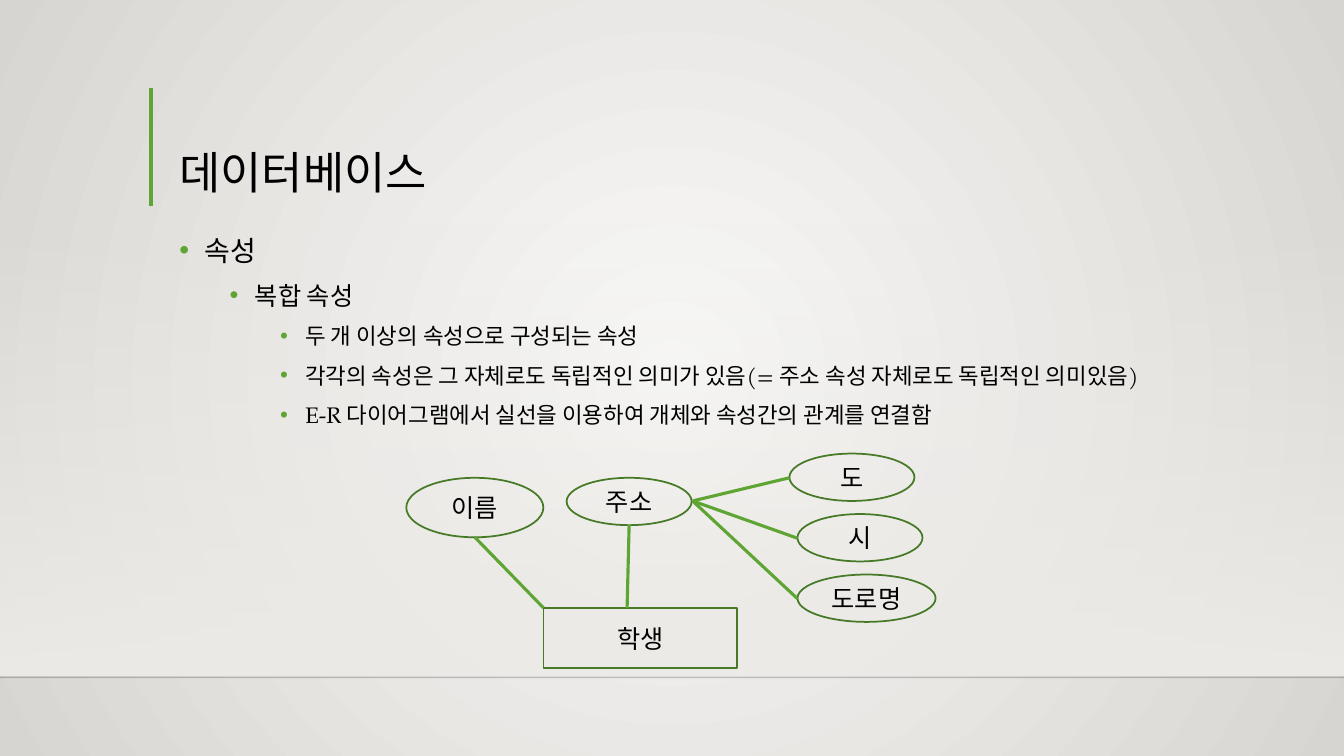
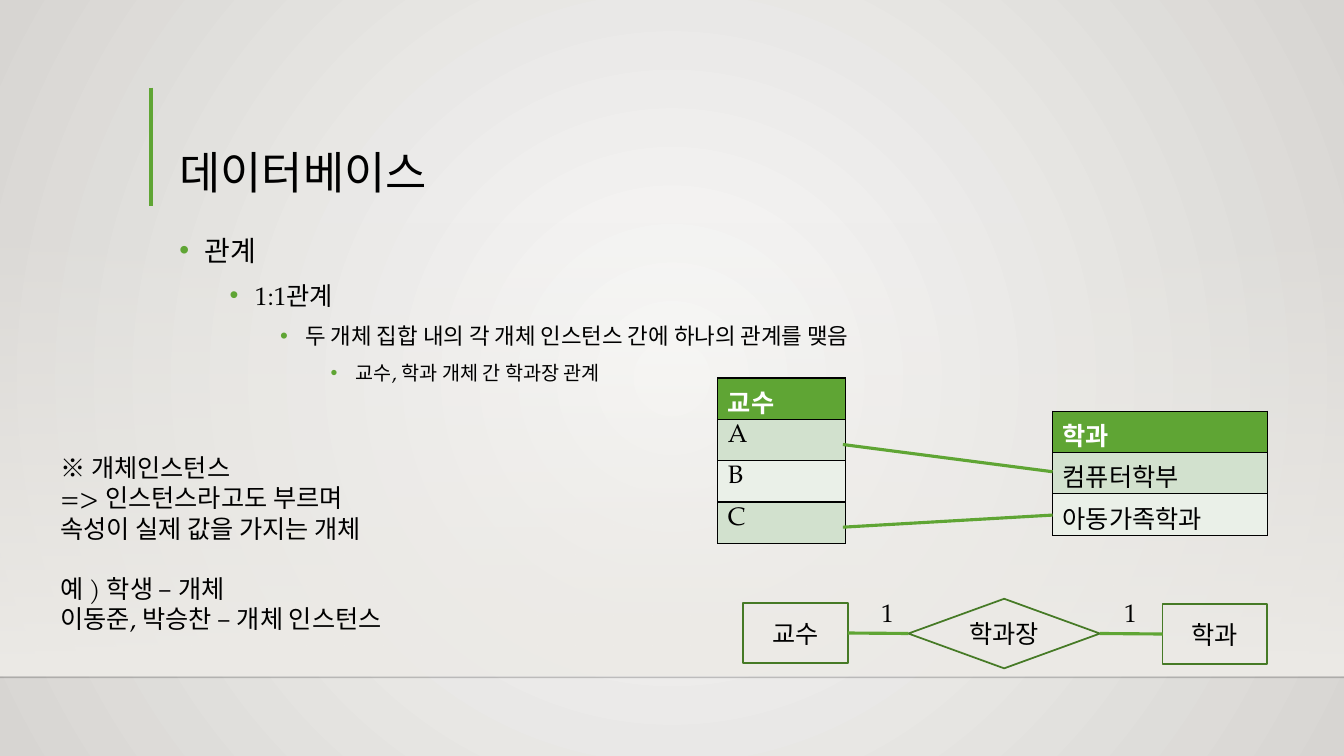
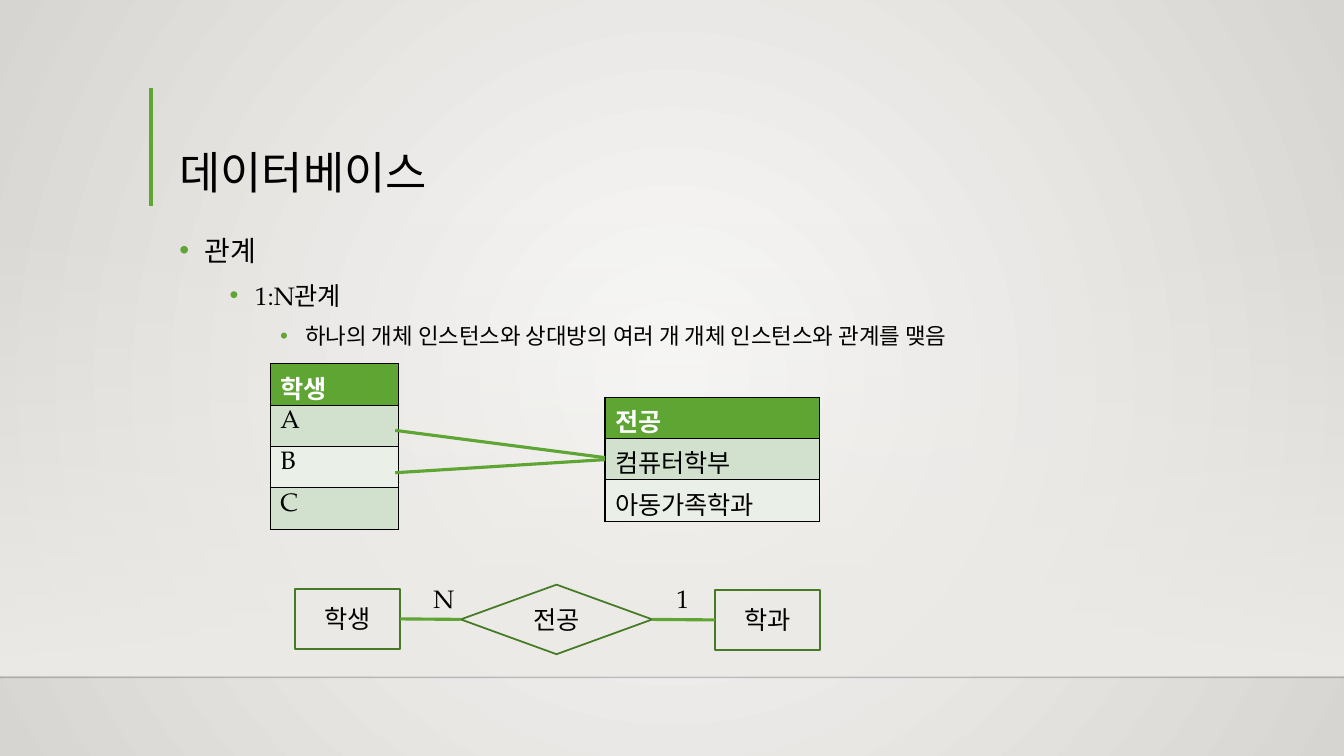
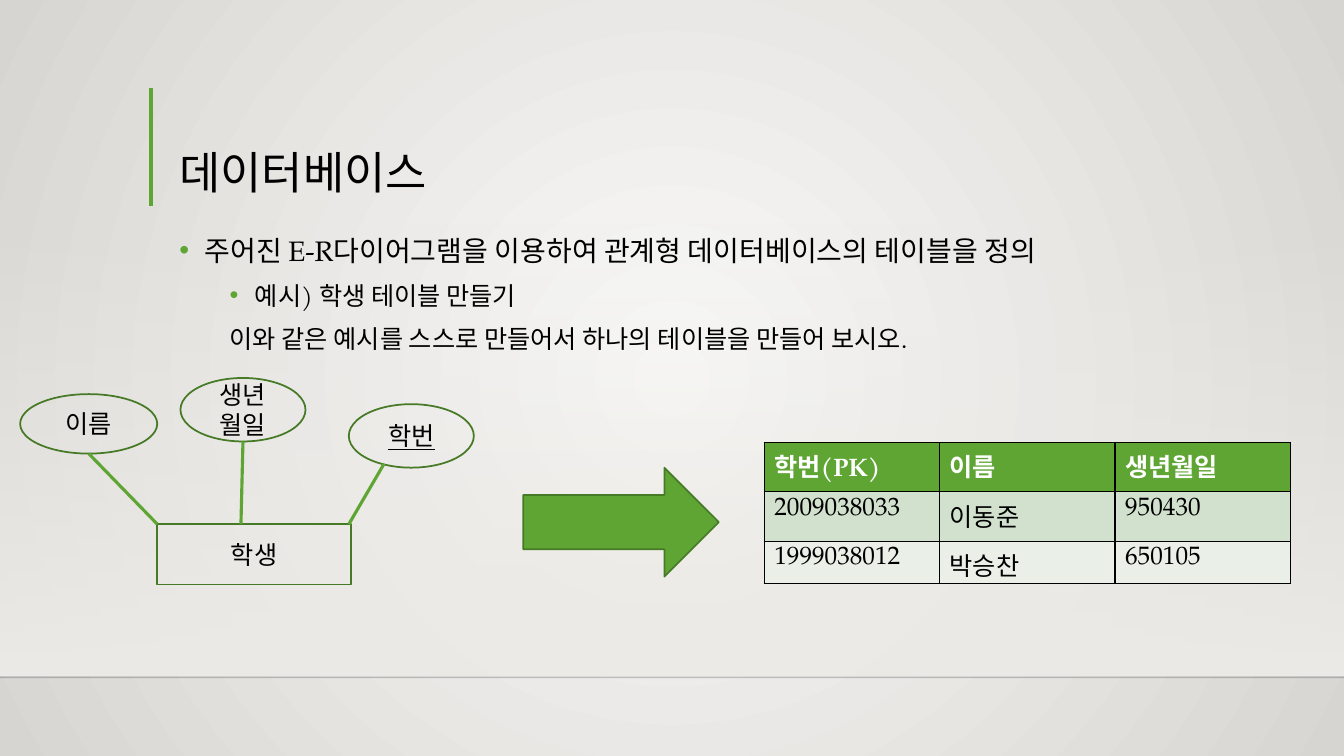
from lxml import etree
from pptx import Presentation
from pptx.dml.color import RGBColor
from pptx.enum import shapes, text
from pptx.oxml import parse_xml
from pptx.oxml.ns import nsdecls, qn
from pptx.util import Inches, Pt

FONT = "TeX Gyre Pagella"
BLACK = RGBColor(0x00, 0x00, 0x00)
WHITE = RGBColor(0xFF, 0xFF, 0xFF)
GREEN = RGBColor(0x5F, 0xA5, 0x34)
DARK_GREEN = RGBColor(0x46, 0x7A, 0x26)
BANDS = (RGBColor(0xD2, 0xE1, 0xCE), RGBColor(0xEA, 0xF0, 0xE8))
GLOW = RGBColor(0xFA, 0xFA, 0xF9)
EDGE = RGBColor(0xD7, 0xD5, 0xD2)
WALL = RGBColor(0xED, 0xEB, 0xE7)
FLOOR_LINE = RGBColor(0x00, 0x00, 0x01)

LEVEL_SIZES = (20, 18, 16, 14)
RECT = shapes.MSO_SHAPE.RECTANGLE
OVAL = shapes.MSO_SHAPE.OVAL
DIAMOND = shapes.MSO_SHAPE.DIAMOND
TOP, LEFT, BOTTOM, RIGHT = range(4)


def set_gradient(element, stops, direction):
    """Replace the first solid fill in an element with a gradient."""
    marks = "".join(
        f'<a:gs pos="{pos * 1000}"><a:srgbClr val="{color}">'
        f'<a:alpha val="{alpha * 1000}"/></a:srgbClr></a:gs>'
        for pos, color, alpha in stops)
    gradient = parse_xml(
        f'<a:gradFill {nsdecls("a")} rotWithShape="1"><a:gsLst>{marks}</a:gsLst>'
        f'{direction}</a:gradFill>')
    solid = element.xpath(".//a:solidFill")[0]
    solid.getparent().replace(solid, gradient)


def add_run(paragraph, words, size=18, color=BLACK, bold=False, underline=False):
    """Add one formatted run to a paragraph."""
    run = paragraph.add_run()
    run.text = words
    font = run.font
    font.name, font.size, font.bold = FONT, Pt(size), bold
    font.color.rgb = color
    if underline:
        font.underline = True


def link(slide, start, end, width=2.25, color=GREEN):
    """Draw a plain straight line between two points."""
    line = slide.shapes.add_connector(
        shapes.MSO_CONNECTOR.STRAIGHT, *map(Inches, (*start, *end)))
    line.line.width = Pt(width)
    line.line.color.rgb = color
    etree.SubElement(line.element.spPr, qn("a:effectLst"))
    return line


def node(slide, kind, box, label="", fill=None, underline=False):
    """Draw an outlined diagram shape with a centred label."""
    shape = slide.shapes.add_shape(kind, *map(Inches, box))
    shape.shadow.inherit = False
    if fill is None:
        shape.fill.background()
    else:
        shape.fill.solid()
        shape.fill.fore_color.rgb = fill
    shape.line.width = Pt(1.25)
    shape.line.color.rgb = DARK_GREEN
    if label:
        shape.text_frame.vertical_anchor = text.MSO_ANCHOR.MIDDLE
        paragraph = shape.text_frame.paragraphs[0]
        paragraph.alignment = text.PP_ALIGN.CENTER
        add_run(paragraph, label, underline=underline)
    return shape


def free_text(slide, box, lines, gap_before=None):
    """Place unwrapped lines, with an optional gap above one of them."""
    note = slide.shapes.add_textbox(*map(Inches, box))
    frame = note.text_frame
    frame.word_wrap = False
    frame.auto_size = text.MSO_AUTO_SIZE.SHAPE_TO_FIT_TEXT
    for index, words in enumerate(lines):
        paragraph = frame.add_paragraph() if index else frame.paragraphs[0]
        if index == gap_before:
            paragraph.space_before = Pt(21.6)
        add_run(paragraph, words)


def dress_layout(layout, stage):
    """Give the layout its backdrop, floor line and title bar."""
    for holder in list(layout.placeholders):
        if holder.placeholder_format.type != shapes.PP_PLACEHOLDER.TITLE:
            holder.element.getparent().remove(holder.element)
    layout.background.fill.solid()
    set_gradient(
        layout.element, [(0, GLOW, 100), (100, EDGE, 100)],
        '<a:path path="circle">'
        '<a:fillToRect l="50000" t="50000" r="50000" b="50000"/></a:path>')

    wall = stage.shapes.add_shape(RECT, *map(Inches, (0, 2.2, 13.33, 4.5)))
    wall.shadow.inherit = False
    wall.line.fill.background()
    wall.fill.solid()
    set_gradient(wall.element, [(0, WALL, 0), (100, WALL, 100)],
                 '<a:lin ang="5400000" scaled="0"/>')

    floor = link(stage, (0, 6.72), (13.33, 6.72), 1, FLOOR_LINE)
    tint = floor.element.xpath(".//a:srgbClr")[0]
    etree.SubElement(tint, qn("a:alpha")).set("val", "20000")
    title_bar = link(stage, (1.5, 0.87), (1.5, 2.04), 3)

    tree = layout.element.cSld.spTree
    for index, part in enumerate((wall, floor, title_bar)):
        tree.insert(2 + index, part.element)


def write_title(slide, words):
    """Place and format the slide title."""
    title = slide.shapes.title
    title.left, title.top, title.width, title.height = map(
        Inches, (1.68, 0.88, 10.41, 1.15))
    title.text_frame.vertical_anchor = text.MSO_ANCHOR.BOTTOM
    paragraph = title.text_frame.paragraphs[0]
    paragraph.alignment = text.PP_ALIGN.LEFT
    paragraph.line_spacing = 0.9
    add_run(paragraph, words, 32)


def write_outline(slide, items, width=10.41, plain=()):
    """Write levelled points, bulleted except for the plain ones."""
    outline = slide.shapes.add_textbox(*map(Inches, (1.68, 2.2, width, 3.77)))
    frame = outline.text_frame
    frame.word_wrap = True
    for index, (level, words) in enumerate(items):
        paragraph = frame.add_paragraph() if index else frame.paragraphs[0]
        paragraph.level = level
        paragraph.line_spacing = 1.2
        paragraph.space_before = Pt(5 if level else 10)
        add_run(paragraph, words, LEVEL_SIZES[level])
        bulleted = index not in plain
        hang = 0.25 if bulleted else 0
        props = paragraph._p.get_or_add_pPr()
        props.set("marL", str(Inches(0.5 * level + hang)))
        props.set("indent", str(Inches(-hang)))
        if bulleted:
            color = etree.SubElement(props, qn("a:buClr"))
            etree.SubElement(color, qn("a:srgbClr")).set("val", str(GREEN))
            etree.SubElement(props, qn("a:buFont")).set("typeface", "Arial")
            etree.SubElement(props, qn("a:buChar")).set("char", "•")


def style_cell(cell, words, fill, header):
    """Fill, border and label one table cell."""
    add_run(cell.text_frame.paragraphs[0], words,
            color=WHITE if header else BLACK, bold=header)
    props = cell._tc.get_or_add_tcPr()
    for side in ("lnL", "lnR", "lnT", "lnB"):
        props.append(parse_xml(
            f'<a:{side} {nsdecls("a")} w="12700"><a:solidFill>'
            f'<a:srgbClr val="{BLACK}"/></a:solidFill></a:{side}>'))
    cell.fill.solid()
    cell.fill.fore_color.rgb = fill


def entity_table(slide, left, top, column_width, rows, heights):
    """Build a banded table with a green header row."""
    columns = len(rows[0])
    table = slide.shapes.add_table(
        len(rows), columns, *map(Inches, (left, top, column_width * columns,
                                          sum(heights)))).table
    for column in table.columns:
        column.width = Inches(column_width)
    for r, (row, height) in enumerate(zip(rows, heights)):
        table.rows[r].height = Inches(height)
        fill = BANDS[(r - 1) % 2] if r else GREEN
        for c, words in enumerate(row):
            style_cell(table.cell(r, c), words, fill, r == 0)


def student_diagram(slide, left, top, second_label, second_height):
    """Draw the student entity at left, top with two attributes above it."""
    node(slide, RECT, (left, top, 1.92, 0.6), "학생")
    node(slide, OVAL, (left - 1.36, top - 1.29, 1.36, 0.59), "이름")
    node(slide, OVAL, (left + 0.23, top - 0.82 - second_height, 1.24,
                       second_height), second_label)
    link(slide, (left - 0.68, top - 0.7), (left, top))
    link(slide, (left + 0.85, top - 0.82), (left + 0.83, top))


def address_parts(slide, left, top):
    """Draw the parts of the address, fanning out from left, top."""
    parts = (("도", 0.96, -0.47, 1.24), ("시", 1.04, 0.13, 1.24),
             ("도로명", 1.04, 0.73, 1.37))
    for label, dx, dy, width in parts:
        node(slide, OVAL, (left + dx, top + dy, width, 0.47), label)
        link(slide, (left, top), (left + dx, top + dy + 0.24))


def relation_example(slide, left, top, members, groups, pairs, relation, counts):
    """Show two linked instance tables above their E-R diagram."""
    entity_table(slide, left, top, 1.27,
                 [[words] for words in members], [0.41] * len(members))
    entity_table(slide, left + 3.32, top + 0.33, 2.13,
                 [[words] for words in groups], [0.41] * len(groups))
    for start, end in pairs:
        link(slide, (left + 1.24, top + start), (left + 3.32, top + end))

    first = node(slide, RECT, (left + 0.25, top + 2.23, 1.04, 0.6), members[0])
    second = node(slide, RECT, (left + 4.41, top + 2.24, 1.04, 0.6), "학과")
    bond = node(slide, DIAMOND, (left + 1.89, top + 2.19, 1.9, 0.69), relation)
    for begin, end in ((first, bond), (bond, second)):
        joint = link(slide, (left, top), (left, top))
        joint.begin_connect(begin, RIGHT)
        joint.end_connect(end, LEFT)
    for count, dx in zip(counts, (1.52, 3.93)):
        width = 0.41 if count == "N" else 0.33
        free_text(slide, (left + dx, top + 2.13, width, 0.4), [count])


def composite_slide(slide):
    """Explain composite attributes."""
    write_outline(slide, [
        (0, "속성"),
        (1, "복합 속성"),
        (2, "두 개 이상의 속성으로 구성되는 속성"),
        (2, "각각의 속성은 그 자체로도 독립적인 의미가 있음(= 주소 속성 자체로도 독립적인 의미있음)"),
        (2, "E-R 다이어그램에서 실선을 이용하여 개체와 속성간의 관계를 연결함"),
    ], width=11.01)
    student_diagram(slide, 5.39, 6.03, "주소", 0.47)
    address_parts(slide, 6.87, 4.97)


def one_to_one_slide(slide):
    """Explain the 1:1 relation."""
    write_outline(slide, [
        (0, "관계"),
        (1, "1:1관계"),
        (2, "두 개체 집합 내의 각 개체 인스턴스 간에 하나의 관계를 맺음"),
        (3, "교수, 학과 개체 간 학과장 관계"),
    ])
    relation_example(
        slide, 7.12, 3.75, ("교수", "A", "B", "C"),
        ("학과", "컴퓨터학부", "아동가족학과"),
        ((0.66, 0.93), (1.48, 1.36)), "학과장", "11")
    free_text(slide, (0.5, 4.44, 3.67, 1.92), [
        "※ 개체인스턴스",
        "=> 인스턴스라고도 부르며",
        "속성이 실제 값을 가지는 개체",
        "예 ) 학생 – 개체",
        "이동준, 박승찬 – 개체 인스턴스",
    ], gap_before=3)


def one_to_many_slide(slide):
    """Explain the 1:N relation."""
    write_outline(slide, [
        (0, "관계"),
        (1, "1:N관계"),
        (2, "하나의 개체 인스턴스와 상대방의 여러 개 개체 인스턴스와 관계를 맺음"),
    ])
    relation_example(
        slide, 2.68, 3.61, ("학생", "A", "B", "C"),
        ("전공", "컴퓨터학부", "아동가족학과"),
        ((0.66, 0.93), (1.08, 0.95)), "전공", "N1")


def exercise_slide(slide):
    """Turn an E-R diagram into a table."""
    write_outline(slide, [
        (0, "주어진 E-R다이어그램을 이용하여 관계형 데이터베이스의 테이블을 정의"),
        (1, "예시) 학생 테이블 만들기"),
        (1, "이와 같은 예시를 스스로 만들어서 하나의 테이블을 만들어 보시오."),
    ], plain=(2,))
    student_diagram(slide, 1.56, 5.2, "생년월일", 0.63)
    node(slide, OVAL, (3.46, 4.01, 1.24, 0.63), "학번", underline=True)
    link(slide, (3.81, 4.6), (3.46, 5.2))
    node(slide, shapes.MSO_SHAPE.RIGHT_ARROW, (5.19, 4.64, 1.94, 1.08), fill=GREEN)
    entity_table(slide, 7.58, 4.39, 1.74, [
        ("학번(PK)", "이름", "생년월일"),
        ("2009038033", "이동준", "950430"),
        ("1999038012", "박승찬", "650105"),
    ], (0.49, 0.49, 0.42))


def main():
    """Build and save the presentation."""
    deck = Presentation()
    deck.slide_width, deck.slide_height = Inches(13.33), Inches(7.5)
    layout = deck.slide_layouts.get_by_name("Title Only")
    builders = (composite_slide, one_to_one_slide, one_to_many_slide, exercise_slide)
    for index, build in enumerate(builders):
        slide = deck.slides.add_slide(layout)
        if index == 0:
            dress_layout(layout, slide)
        write_title(slide, "데이터베이스")
        build(slide)
    deck.save("out.pptx")


if __name__ == "__main__":
    main()
